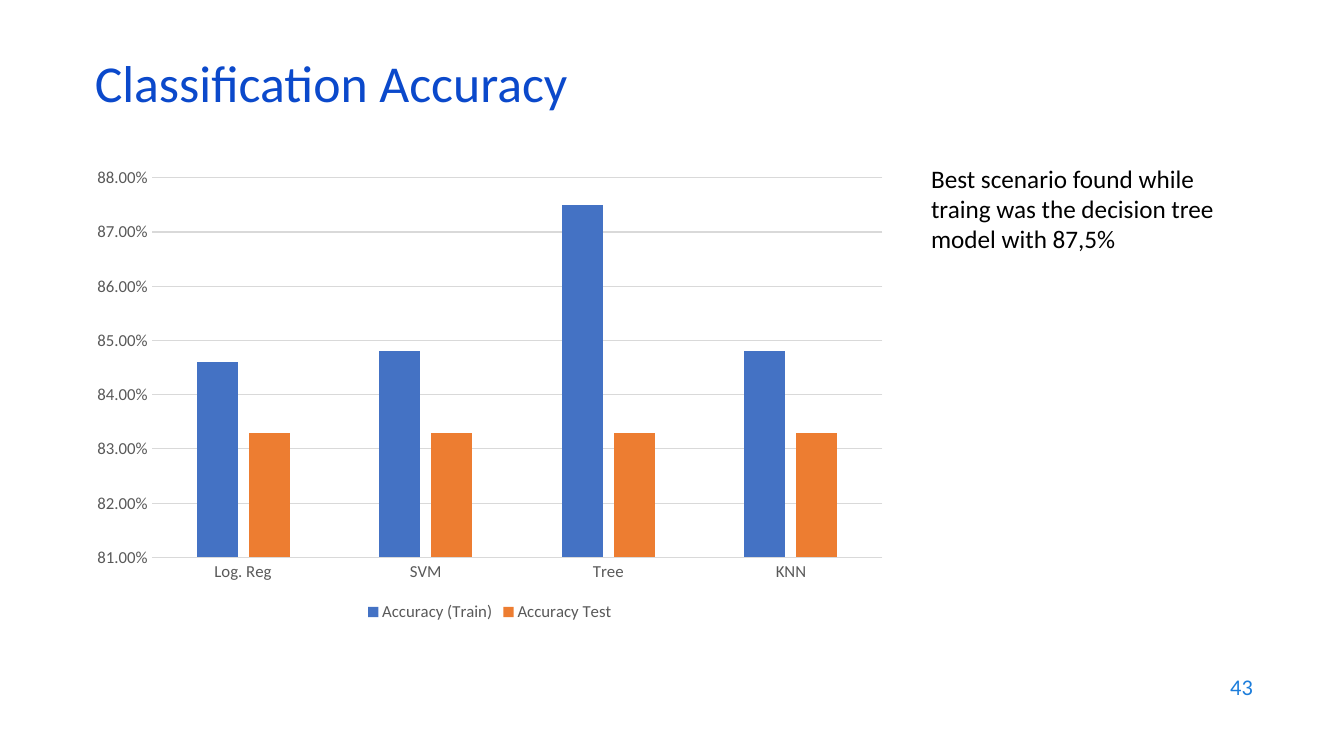
from dataclasses import dataclass

from pptx import Presentation
from pptx.chart.data import CategoryChartData
from pptx.dml.color import RGBColor
from pptx.enum.chart import XL_CHART_TYPE, XL_LEGEND_POSITION, XL_TICK_MARK
from pptx.enum.text import MSO_ANCHOR, PP_ALIGN
from pptx.util import Pt

FONT = "Calibri"
BLACK = RGBColor(0x00, 0x00, 0x00)
TITLE_BLUE = RGBColor(0x0B, 0x49, 0xCB)
NUMBER_BLUE = RGBColor(0x1C, 0x7D, 0xDB)
LABEL_GREY = RGBColor(0x59, 0x59, 0x59)
GRID_GREY = RGBColor(0xD9, 0xD9, 0xD9)
TRAIN_BLUE = RGBColor(0x44, 0x72, 0xC4)
TEST_ORANGE = RGBColor(0xED, 0x7D, 0x31)

COLUMNS = XL_CHART_TYPE.COLUMN_CLUSTERED
BOTTOM = XL_LEGEND_POSITION.BOTTOM
NO_TICK = XL_TICK_MARK.NONE
LEFT, RIGHT = PP_ALIGN.LEFT, PP_ALIGN.RIGHT
TOP, MIDDLE = MSO_ANCHOR.TOP, MSO_ANCHOR.MIDDLE


@dataclass(frozen=True)
class Box:
    left: float
    top: float
    width: float
    height: float

    def in_points(self) -> tuple:
        return Pt(self.left), Pt(self.top), Pt(self.width), Pt(self.height)


@dataclass(frozen=True)
class Series:
    name: str
    values: tuple
    color: RGBColor


MODELS = ("Log. Reg", "SVM", "Tree", "KNN")
SERIES = (
    Series("Accuracy (Train)", (0.846, 0.848, 0.875, 0.848), TRAIN_BLUE),
    Series("Accuracy Test", (0.833,) * len(MODELS), TEST_ORANGE),
)


def set_font(font, size: float, color: RGBColor) -> None:
    font.name = FONT
    font.size = Pt(size)
    font.bold = False
    font.color.rgb = color


def write_text(sp, box: Box, text: str, *, size: float, color: RGBColor,
               align=LEFT, anchor=TOP, spacing: float = 1.0) -> None:
    sp.left, sp.top, sp.width, sp.height = box.in_points()
    tf = sp.text_frame
    tf.word_wrap = True
    tf.vertical_anchor = anchor
    p = tf.paragraphs[0]
    p.alignment = align
    p.line_spacing = spacing
    r = p.add_run()
    r.text = text
    set_font(r.font, size, color)


def add_text(slide, box: Box, text: str, **fmt) -> None:
    write_text(slide.shapes.add_textbox(*box.in_points()), box, text, **fmt)


def set_line(line, color: RGBColor) -> None:
    line.color.rgb = color
    line.width = Pt(0.75)


def add_accuracy_chart(slide, box: Box) -> None:
    data = CategoryChartData(number_format="0.00%")
    data.categories = MODELS
    for series in SERIES:
        data.add_series(series.name, series.values)
    chart = slide.shapes.add_chart(COLUMNS, *box.in_points(), data).chart
    set_font(chart.font, 10, BLACK)
    chart.has_title = False

    # Columns
    plot = chart.plots[0]
    plot.gap_width = 219
    plot.overlap = -27
    plot.vary_by_categories = False
    for column, series in zip(plot.series, SERIES):
        column.format.fill.solid()
        column.format.fill.fore_color.rgb = series.color

    # Axes
    models, accuracy = chart.category_axis, chart.value_axis
    for axis in (models, accuracy):
        axis.major_tick_mark = axis.minor_tick_mark = NO_TICK
        set_font(axis.tick_labels.font, 12, LABEL_GREY)
    set_line(models.format.line, GRID_GREY)
    accuracy.format.line.fill.background()
    accuracy.has_major_gridlines = True
    set_line(accuracy.major_gridlines.format.line, GRID_GREY)
    accuracy.minimum_scale, accuracy.maximum_scale = 0.81, 0.88
    accuracy.major_unit = 0.01
    accuracy.tick_labels.number_format = "0.00%"
    accuracy.tick_labels.number_format_is_linked = False

    # Legend
    chart.has_legend = True
    chart.legend.position = BOTTOM
    chart.legend.include_in_layout = False
    set_font(chart.legend.font, 12, LABEL_GREY)


def main() -> None:
    prs = Presentation()
    prs.slide_width, prs.slide_height = Pt(960), Pt(540)
    slide = prs.slides.add_slide(prs.slide_layouts[5])

    # Title
    write_text(slide.shapes.title, Box(60.5, 42.5, 828, 43.2),
               "Classification Accuracy", size=37, color=TITLE_BLUE,
               anchor=MIDDLE, spacing=0.7)

    # Chart and finding
    add_accuracy_chart(slide, Box(57.9, 113.2, 584, 334))
    add_text(slide, Box(658, 113, 230.4, 72.7),
             "Best scenario found while traing was the decision tree "
             "model with 87,5%", size=18, color=BLACK)

    # Slide number
    add_text(slide, Box(686, 474.5, 216, 31.7), "43", size=16,
             color=NUMBER_BLUE, align=RIGHT, anchor=MIDDLE)

    prs.save("out.pptx")


if __name__ == "__main__":
    main()
